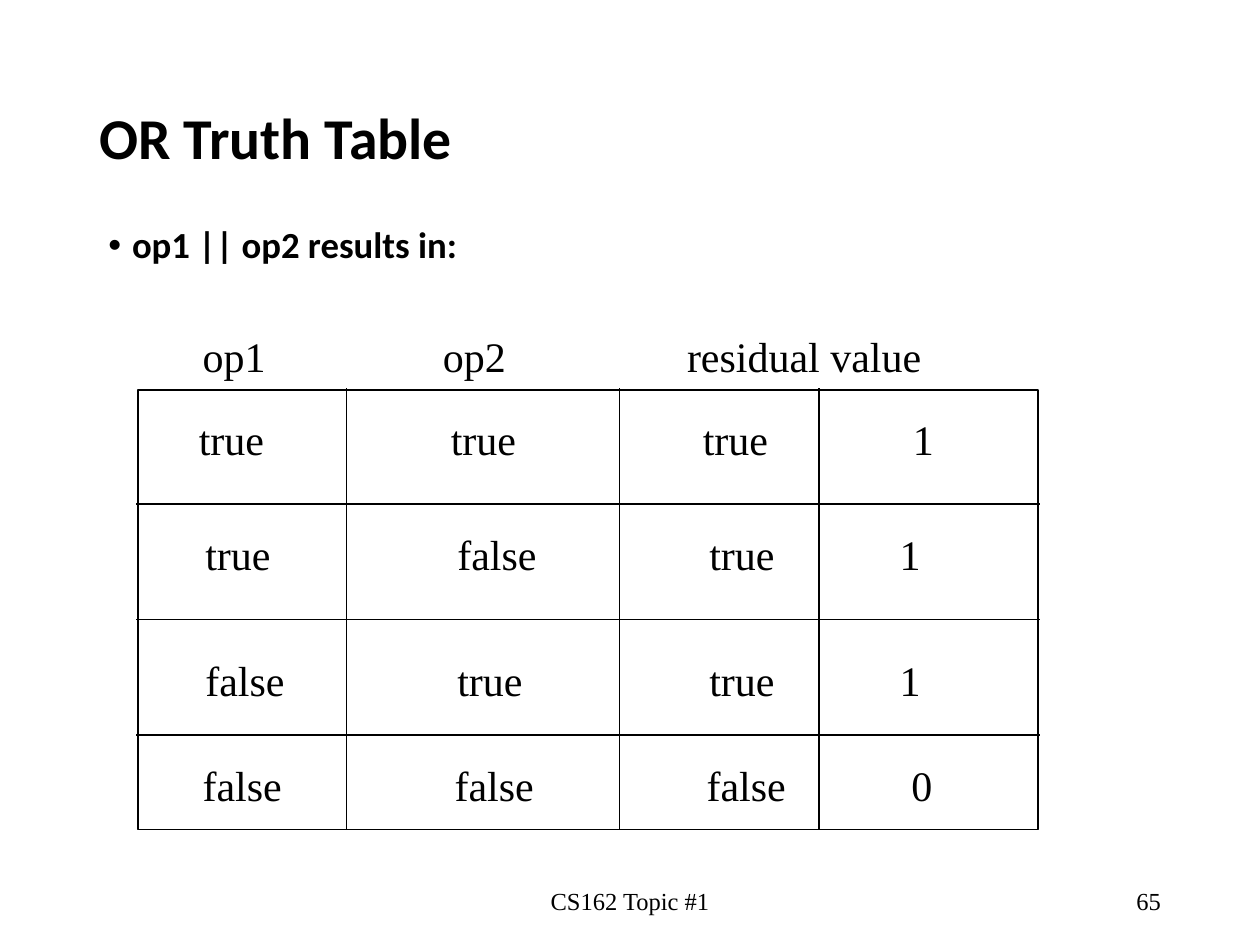
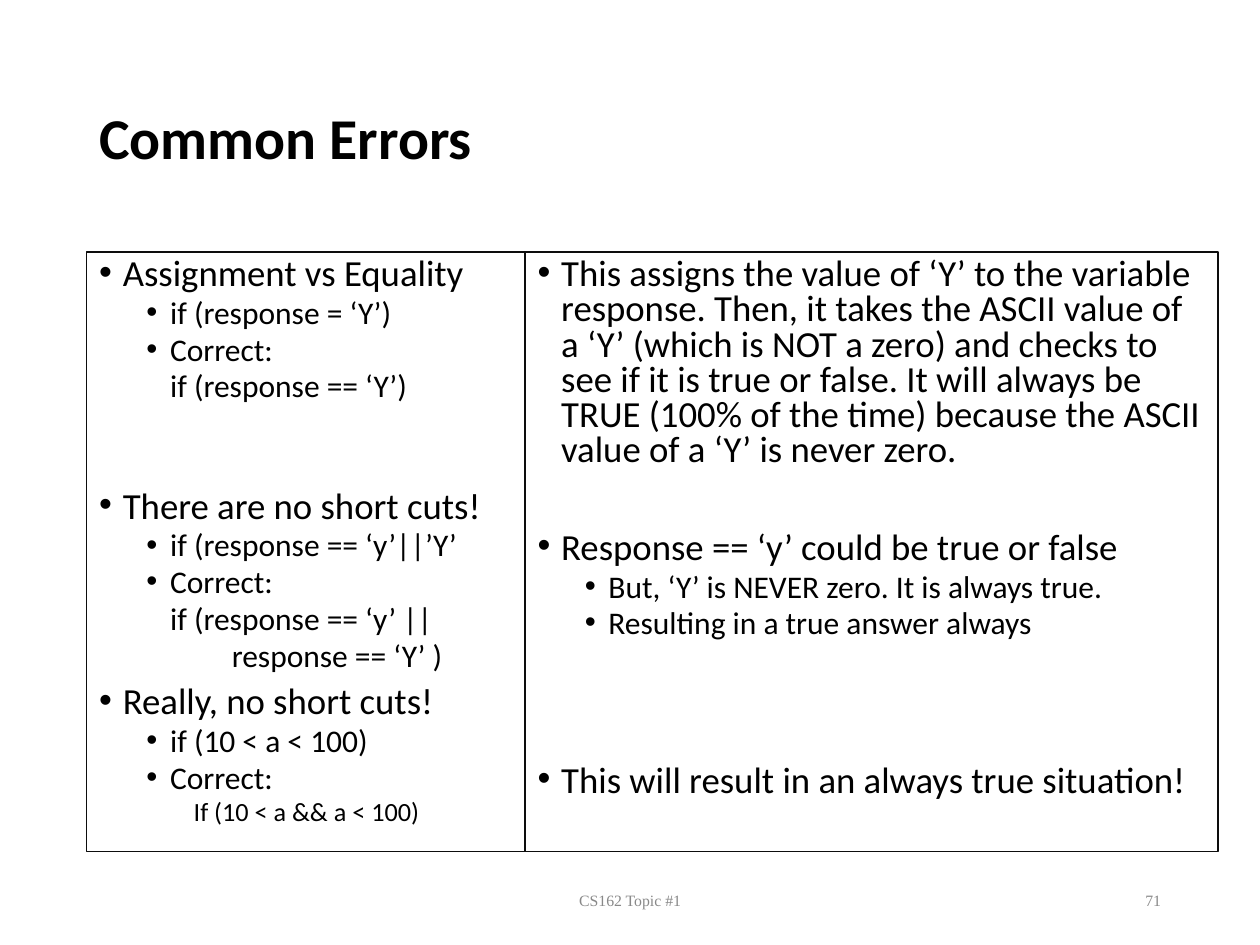
from lxml import etree
from pptx import Presentation
from pptx import util as u
from pptx.dml.color import RGBColor
from pptx.enum import shapes, text
from pptx.oxml import ns

COLOURS = {"ink": "000000", "panel_line": "0D0D0D", "muted": "898989", "paper": "FFFFFF"}
HEADING_FONT = "Calibri"
TABLE_FONT = "Times New Roman"
SCALE = 9525

# kind: level, left, hang, size, space before, bullet
LIST_STYLES = {
    "point": (0, 18, -18, 21, 7.5, True),
    "detail": (1, 54, -18, 18, 3.7, True),
    "code": (1, 54, 0, 18, 3.7, False),
    "code_more": (1, 101, 0, 18, 3.7, False),
    "small_code": (2, 72, 0, 15, 3.7, False),
}

HEADERS = [("op1", 145, 67), ("op2", 328, 67), ("residual value", 514, 198)]
COLUMN_STEP = 192
TRUTH_ROWS = [
    ("true", "true", "true", "1", 142, 310, 544),
    ("true", "false", "true", "1", 147, 398, 529),
    ("false", "true", "true", "1", 147, 494, 529),
    ("false", "false", "false", "0", 145, 574, 540),
]

ERRORS = [
    ("point", "Assignment vs Equality"),
    ("detail", "if (response = ‘Y’)"),
    ("detail", "Correct:"),
    ("code", "if (response == ‘Y’)"),
    ("point", "There are no short cuts!", 49.8),
    ("detail", "if (response == ‘y’||’Y’"),
    ("detail", "Correct:"),
    ("code", "if (response == ‘y’ ||"),
    ("code_more", "response == ‘Y’ )"),
    ("point", "Really, no short cuts!"),
    ("detail", "if (10 < a < 100)"),
    ("detail", "Correct:"),
    ("small_code", "If (10 < a && a < 100)"),
]
REASONS = [
    ("point", "This assigns the value of ‘Y’ to the variable response. Then, it takes "
              "the ASCII value of a ‘Y’ (which is NOT a zero) and checks to see if it is "
              "true or false. It will always be TRUE (100% of the time) because the ASCII "
              "value of a ‘Y’ is never zero."),
    ("point", "Response == ‘y’ could be true or false", 35.5),
    ("detail", "But, ‘Y’ is NEVER zero. It is always true."),
    ("detail", "Resulting in a true answer always"),
    ("point", "This will result in an always true situation!", 71),
]


def px(length):
    return u.Emu(length * SCALE)


def colour(name):
    return RGBColor.from_string(COLOURS[name])


class SlideWriter:
    def __init__(self, deck):
        self.deck = deck
        self.page = None

    def start(self, layout, title):
        self.page = self.deck.slides.add_slide(self.deck.slide_layouts[layout])
        fill = self.page.background.fill
        fill.solid()
        fill.fore_color.rgb = colour("paper")
        box = self.page.shapes.title
        self.place(box, 66, 38, 828, 139)
        box.text_frame.text = title
        box.text_frame.vertical_anchor = text.MSO_ANCHOR.MIDDLE
        para = box.text_frame.paragraphs[0]
        para.alignment = text.PP_ALIGN.LEFT
        para.line_spacing = 0.9
        self.style(para, HEADING_FONT, 33, bold=True)

    def place(self, box, left, top, width, height):
        box.left, box.top, box.width, box.height = map(px, (left, top, width, height))
        box.text_frame.auto_size = text.MSO_AUTO_SIZE.NONE

    def style(self, para, font, size, ink="ink", bold=False):
        for span in para.runs:
            span.font.name = font
            span.font.size = u.Pt(size)
            span.font.bold = bold
            span.font.color.rgb = colour(ink)

    def outline(self, shape, ink, width):
        shape.line.color.rgb = colour(ink)
        shape.line.width = u.Pt(width)

    def bullet(self, para, left, hang, shown):
        props = para._p.get_or_add_pPr()
        props.set("marL", str(px(left)))
        props.set("indent", str(px(hang)))
        if not shown:
            etree.SubElement(props, ns.qn("a:buNone"))
            return
        ink = etree.SubElement(props, ns.qn("a:buClr"))
        etree.SubElement(ink, ns.qn("a:srgbClr"), val=COLOURS["ink"])
        etree.SubElement(props, ns.qn("a:buFont"), typeface="Arial")
        etree.SubElement(props, ns.qn("a:buChar"), char="•")

    def list(self, index, area, items, spacing, bold=False, framed=False):
        box = self.page.placeholders[index]
        self.place(box, *area)
        if framed:
            self.outline(box, "panel_line", 0.75)
        frame = box.text_frame
        frame.vertical_anchor = text.MSO_ANCHOR.TOP
        for number, (kind, words, *gap) in enumerate(items):
            level, left, hang, size, before, shown = LIST_STYLES[kind]
            para = frame.add_paragraph() if number else frame.paragraphs[0]
            para.text = words
            para.level = level
            self.bullet(para, left, hang, shown)
            para.line_spacing = spacing
            para.space_before = u.Pt((gap[0] if gap else before) if number else 0)
            self.style(para, HEADING_FONT, size, bold=bold)

    def frame(self, left, top, width, height):
        box = self.page.shapes.add_shape(shapes.MSO_SHAPE.RECTANGLE, *map(px, (left, top, width, height)))
        box.shadow.inherit = False
        box.fill.background()
        self.outline(box, "ink", 1)

    def line(self, *ends):
        rule = self.page.shapes.add_connector(shapes.MSO_CONNECTOR.STRAIGHT, *map(px, ends))
        etree.SubElement(rule._element.spPr, ns.qn("a:effectLst"))
        self.outline(rule, "ink", 1)

    def label(self, words, left, top, width, stops=()):
        box = self.page.shapes.add_textbox(*map(px, (left, top, width, 48)))
        box.text_frame.text = words
        box.text_frame.word_wrap = False
        para = box.text_frame.paragraphs[0]
        if stops:
            tabs = etree.SubElement(para._p.get_or_add_pPr(), ns.qn("a:tabLst"))
            for stop in stops:
                etree.SubElement(tabs, ns.qn("a:tab"), pos=str(px(stop)), algn="l")
        self.style(para, TABLE_FONT, 24)

    def footer(self, number, size, ink):
        for words, left, width, align in (("CS162 Topic #1", 318, 324, text.PP_ALIGN.CENTER),
                                          (number, 678, 216, text.PP_ALIGN.RIGHT)):
            box = self.page.shapes.add_textbox(px(left), px(667), px(width), px(38))
            frame = box.text_frame
            frame.text = words
            frame.word_wrap = True
            frame.vertical_anchor = text.MSO_ANCHOR.MIDDLE
            frame.paragraphs[0].alignment = align
            self.style(frame.paragraphs[0], TABLE_FONT, size, ink)


def truth_table(writer):
    writer.frame(105, 297, 686, 335)
    for x in (264, 472, 624):
        writer.line(x, 296, x, 632)
    for y in (384, 472, 560):
        writer.line(104, y, 792, y)
    for words, left, width in HEADERS:
        writer.label(words, left, 247, width)
    for *values, left, top, last_stop in TRUTH_ROWS:
        stops = (COLUMN_STEP, 2 * COLUMN_STEP, last_stop)
        writer.label("\t".join(values), left, top, last_stop + 35, stops)


def main():
    deck = Presentation()
    deck.slide_width, deck.slide_height = px(960), px(720)
    writer = SlideWriter(deck)

    writer.start(1, "OR Truth Table")
    writer.list(1, (73, 168, 814, 441), [("point", "op1 || op2 results in:")], 0.9, bold=True)
    writer.footer("65", 14, "ink")
    truth_table(writer)

    writer.start(3, "Common Errors")
    writer.list(1, (66, 192, 334, 457), ERRORS, 0.8, framed=True)
    writer.list(2, (400, 192, 528, 457), REASONS, 0.8, framed=True)
    writer.footer("71", 9, "muted")

    deck.save("out.pptx")


if __name__ == "__main__":
    main()
